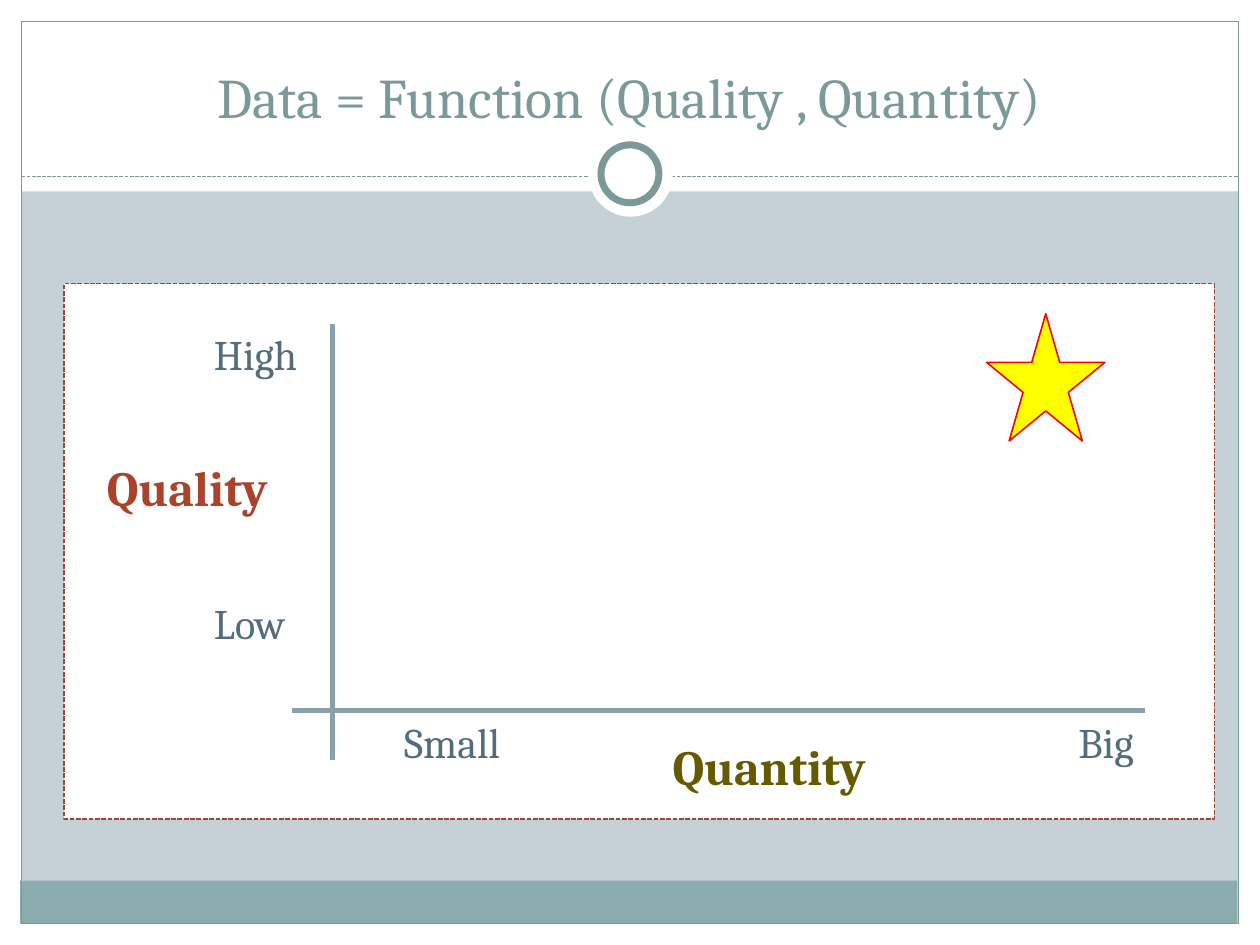
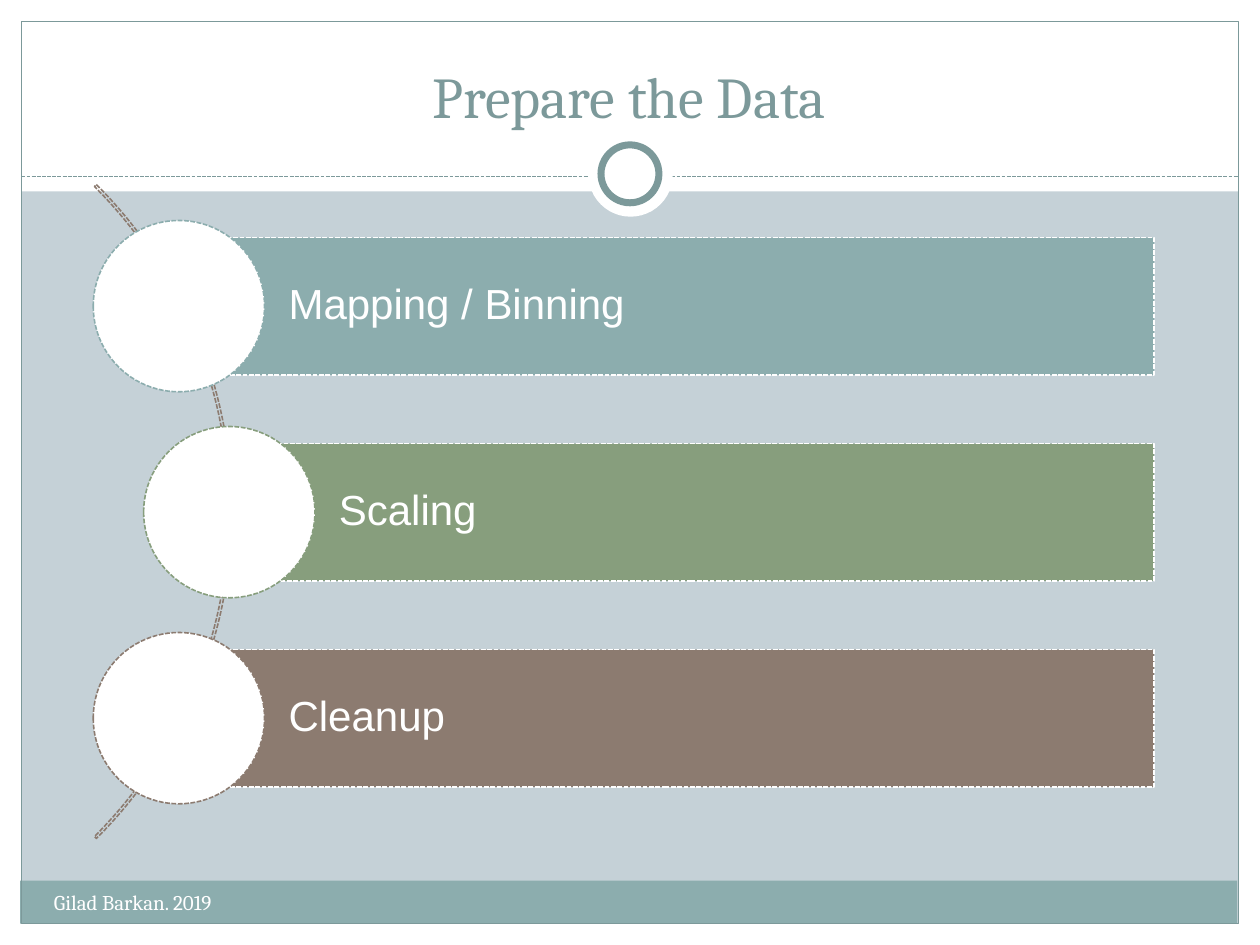
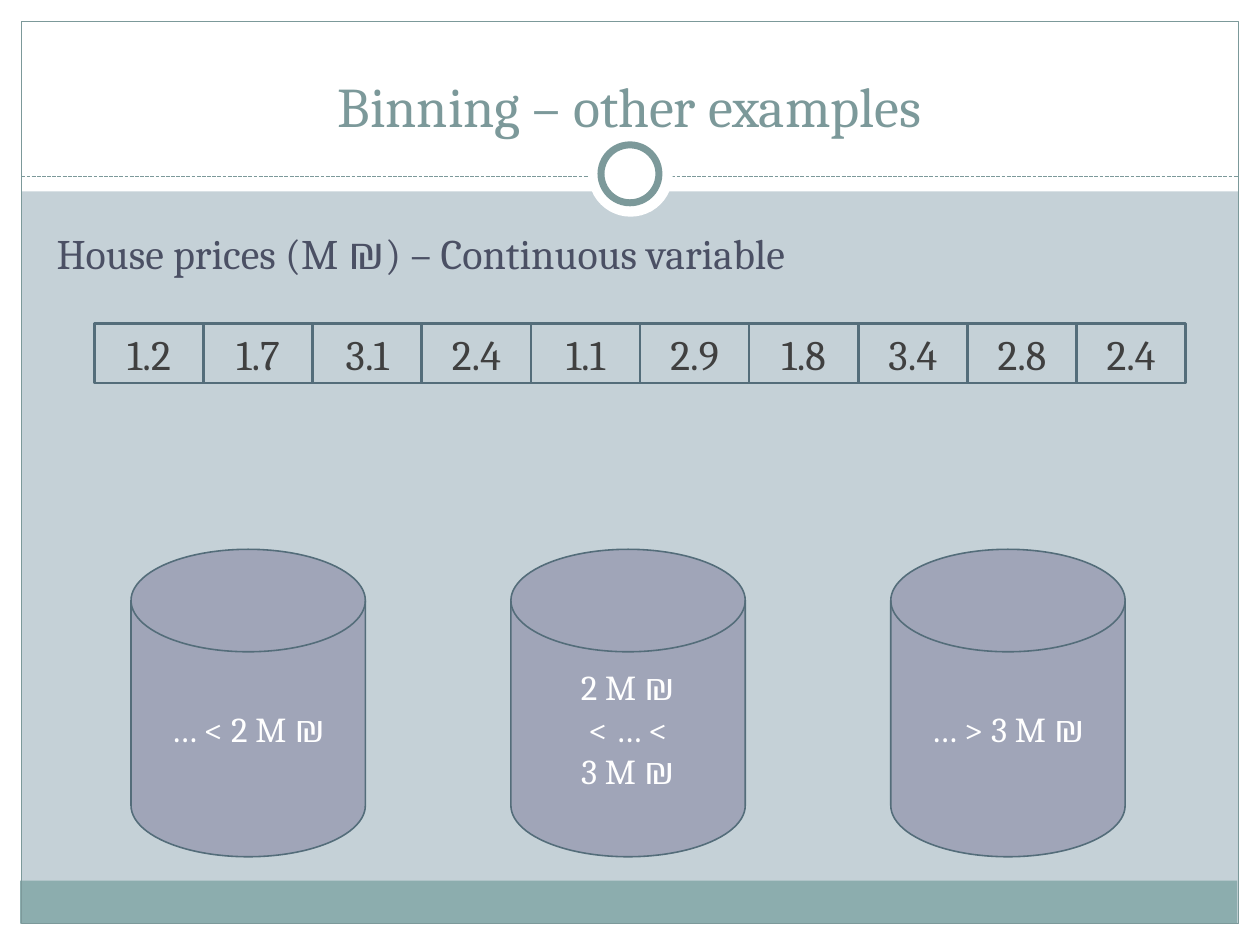
import lxml.etree
import pptx
import pptx.dml.color
import pptx.enum.dml
import pptx.enum.shapes
import pptx.enum.text
import pptx.oxml.ns
import pptx.util

Inches = pptx.util.Inches
SHAPE = pptx.enum.shapes.MSO_SHAPE
ALIGN = pptx.enum.text.PP_ALIGN
ANCHOR = pptx.enum.text.MSO_ANCHOR

COLORS = {
    "back": "C5D1D7", "white": "FFFFFF", "teal": "8CADAE", "title": "7C999A",
    "green": "879E7D", "brown": "8C7B70", "slate": "546D7A", "axis": "88A1AD",
    "rust": "9B4936", "red": "A9432B", "olive": "665A00", "ink": "4B5064",
    "gray": "404040", "disk": "A0A5B8", "star": "FFFF00", "edge": "FF0000",
}
FONT = "Cambria"


def color(name):
    return pptx.dml.color.RGBColor.from_string(COLORS[name])


def stroke(line, name, width, dash=False):
    line.color.rgb = color(name)
    line.width = pptx.util.Pt(width)
    if dash:
        line.dash_style = pptx.enum.dml.MSO_LINE.SQUARE_DOT


def shape(slide, kind, box, fill=None, line=None, width=0.9, dash=False):
    part = slide.shapes.add_shape(kind, *map(Inches, box))
    part.shadow.inherit = False
    if fill:
        part.fill.solid()
        part.fill.fore_color.rgb = color(fill)
    else:
        part.fill.background()
    if line:
        stroke(part.line, line, width, dash)
    else:
        part.line.fill.background()
    return part


def rule(slide, start, end, name, width, dash=False):
    kind = pptx.enum.shapes.MSO_CONNECTOR.STRAIGHT
    part = slide.shapes.add_connector(kind, *map(Inches, start + end))
    stroke(part.line, name, width, dash)
    lxml.etree.SubElement(part.element.spPr, pptx.oxml.ns.qn("a:effectLst"))


def write(part, text, size, name, align=ALIGN.LEFT, anchor=ANCHOR.MIDDLE,
          font=FONT, bold=False):
    frame = part.text_frame
    frame.word_wrap = True
    frame.vertical_anchor = anchor
    frame.text = text
    for para in frame.paragraphs:
        para.alignment = align
        for run in para.runs:
            run.font.size = pptx.util.Pt(size)
            run.font.name = font
            run.font.bold = bold
            run.font.color.rgb = color(name)


def label(slide, box, text, size, name, align=ALIGN.LEFT, anchor=ANCHOR.TOP,
          bold=False):
    part = slide.shapes.add_textbox(*map(Inches, box))
    write(part, text, size, name, align, anchor, bold=bold)


def base(deck, title, size=32, box=(0.33, 0.25, 9.33, 0.83)):
    """Add a slide with the shared frame, bands, ring and title."""
    slide = deck.slides.add_slide(deck.slide_layouts[6])
    slide.background.fill.solid()
    slide.background.fill.fore_color.rgb = color("back")
    # White margins and header
    for edge in ((0, 7.33, 10, 0.17), (0, 0, 10, 1.52),
                 (0, 0, 0.17, 7.5), (9.83, 0, 0.17, 7.5)):
        shape(slide, SHAPE.RECTANGLE, edge, "white")
    # Footer band, frame and dashed divider
    shape(slide, SHAPE.RECTANGLE, (0.16, 6.99, 9.66, 0.34), "teal")
    shape(slide, SHAPE.RECTANGLE, (0.17, 0.17, 9.66, 7.16), None, "title", 0.75)
    rule(slide, (0.17, 1.4), (9.83, 1.4), "title", 0.75, True)
    # Ring
    shape(slide, SHAPE.OVAL, (4.67, 1.05, 0.67, 0.67), "white")
    shape(slide, SHAPE.OVAL, (4.77, 1.15, 0.46, 0.46), "white", "title", 4)
    label(slide, box, title, size, "title", ALIGN.CENTER, ANCHOR.BOTTOM)
    return slide


def plot(slide, box):
    """Draw the quality and quantity axes inside a dashed panel."""
    x, y = box[:2]
    shape(slide, SHAPE.RECTANGLE, box, "white", "rust", dash=True)
    # Axes
    rule(slide, (x + 8.58, y + 3.39), (x + 1.81, y + 3.39), "axis", 3)
    rule(slide, (x + 2.13, y + 0.32), (x + 2.13, y + 3.78), "axis", 3)
    # Scale ends
    for text, dx, dy, wide in (("Small", 2.6, 3.39, 1.18), ("Big", 7.95, 3.39, 0.88),
                               ("Low", 1.09, 2.44, 0.96), ("High", 1.09, 0.31, 1.04)):
        label(slide, (x + dx, y + dy, wide, 0.5), text, 24, "slate")
    # Axis names
    for text, dx, dy, wide, name in (("Quantity", 4.73, 3.55, 2.1, "olive"),
                                     ("Quality", 0.24, 1.33, 1.7, "red")):
        label(slide, (x + dx, y + dy, wide, 0.57), text, 28, name, bold=True)
    shape(slide, SHAPE.STAR_5_POINT, (x + 7.32, y + 0.24, 0.94, 1.01), "star", "edge")


def steps(slide, box, items):
    """Draw bars with round heads along an arc; middle ones are indented."""
    x, y, wide, high = box
    arc = shape(slide, SHAPE.BLOCK_ARC, (x - 6.24, y - 1.36, 7.34, 7.34),
                None, "brown", dash=True)
    for i, value in enumerate((189, 27, 0.003)):
        arc.adjustments[i] = value
    head, bar = 1.36, 1.09
    pitch = (high - head) / (len(items) - 1)
    for i, (text, name) in enumerate(items):
        left = x + (0.4 if 0 < i < len(items) - 1 else 0)
        top = y + i * pitch
        start = left + head / 2
        part = shape(slide, SHAPE.RECTANGLE,
                     (start, top + (head - bar) / 2, x + wide - start, bar),
                     name, "white", dash=True)
        write(part, text, 24, "white", font="Arial")
        part.text_frame.margin_left = Inches(0.87)
        part.text_frame.paragraphs[0].line_spacing = 0.9
        shape(slide, SHAPE.OVAL, (left, top, head, head), "white", name, dash=True)


def cells(slide, box, values):
    """Draw a row of equal boxes, one per value."""
    x, y, wide, high = box
    step = wide / len(values)
    for i, value in enumerate(values):
        part = shape(slide, SHAPE.RECTANGLE, (x + i * step, y, step, high),
                     None, "slate", 1.5)
        write(part, value, 24, "gray", ALIGN.CENTER)


def bins(slide, box, texts):
    """Draw evenly spread cylinders, one per price range."""
    x, y, wide, high = box
    size = 1.86
    pitch = (wide - size) / (len(texts) - 1)
    for i, text in enumerate(texts):
        part = shape(slide, SHAPE.FLOWCHART_MAGNETIC_DISK,
                     (x + i * pitch, y, size, high), "disk", "slate")
        write(part, text, 20, "white", ALIGN.CENTER)


def main():
    deck = pptx.Presentation()
    deck.slide_width, deck.slide_height = Inches(10), Inches(7.5)

    # Quality against quantity
    slide = base(deck, "Data = Function (Quality , Quantity)")
    plot(slide, (0.51, 2.25, 9.13, 4.25))

    # Preparation steps
    slide = base(deck, "Prepare the Data", 33)
    label(slide, (0.33, 7.01, 3.92, 0.4), "Gilad Barkan. 2019", 12, "white")
    steps(slide, (0.74, 1.75, 8.42, 4.63),
          (("Mapping / Binning", "teal"), ("Scaling", "green"), ("Cleanup", "brown")))

    # House prices sorted into bins
    slide = base(deck, "Binning – other examples", box=(0.5, 0.25, 9, 0.9))
    bins(slide, (1.04, 4.36, 7.89, 2.44),
         ("… < 2 M ₪", "2 M ₪\n< … <\n3 M ₪", "… > 3 M ₪"))
    label(slide, (0.35, 1.76, 9.29, 0.6),
          "House prices (M ₪) – Continuous variable", 24, "ink")
    cells(slide, (0.75, 2.57, 8.66, 0.47),
          ("1.2", "1.7", "3.1", "2.4", "1.1", "2.9", "1.8", "3.4", "2.8", "2.4"))

    deck.save("out.pptx")


if __name__ == "__main__":
    main()
